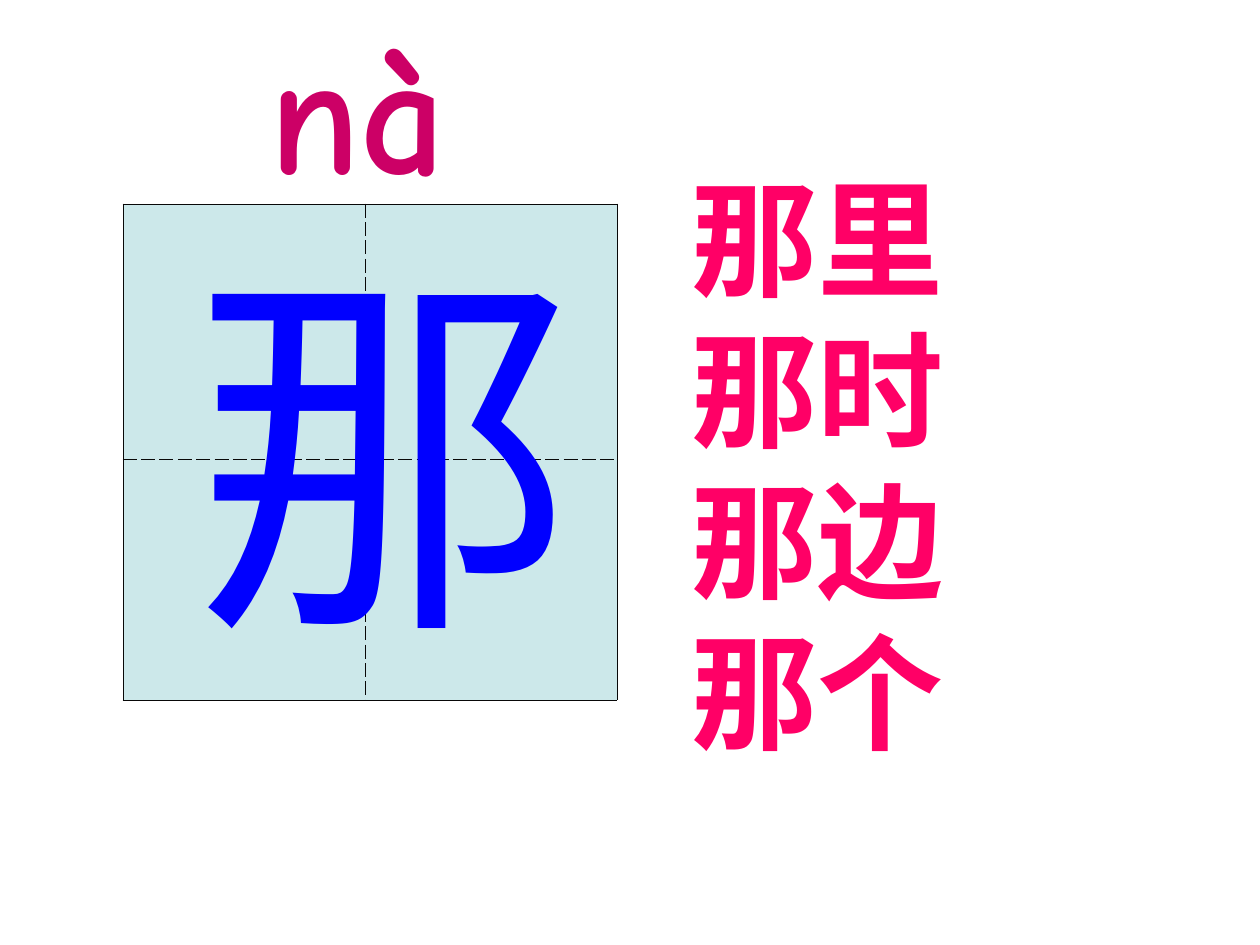
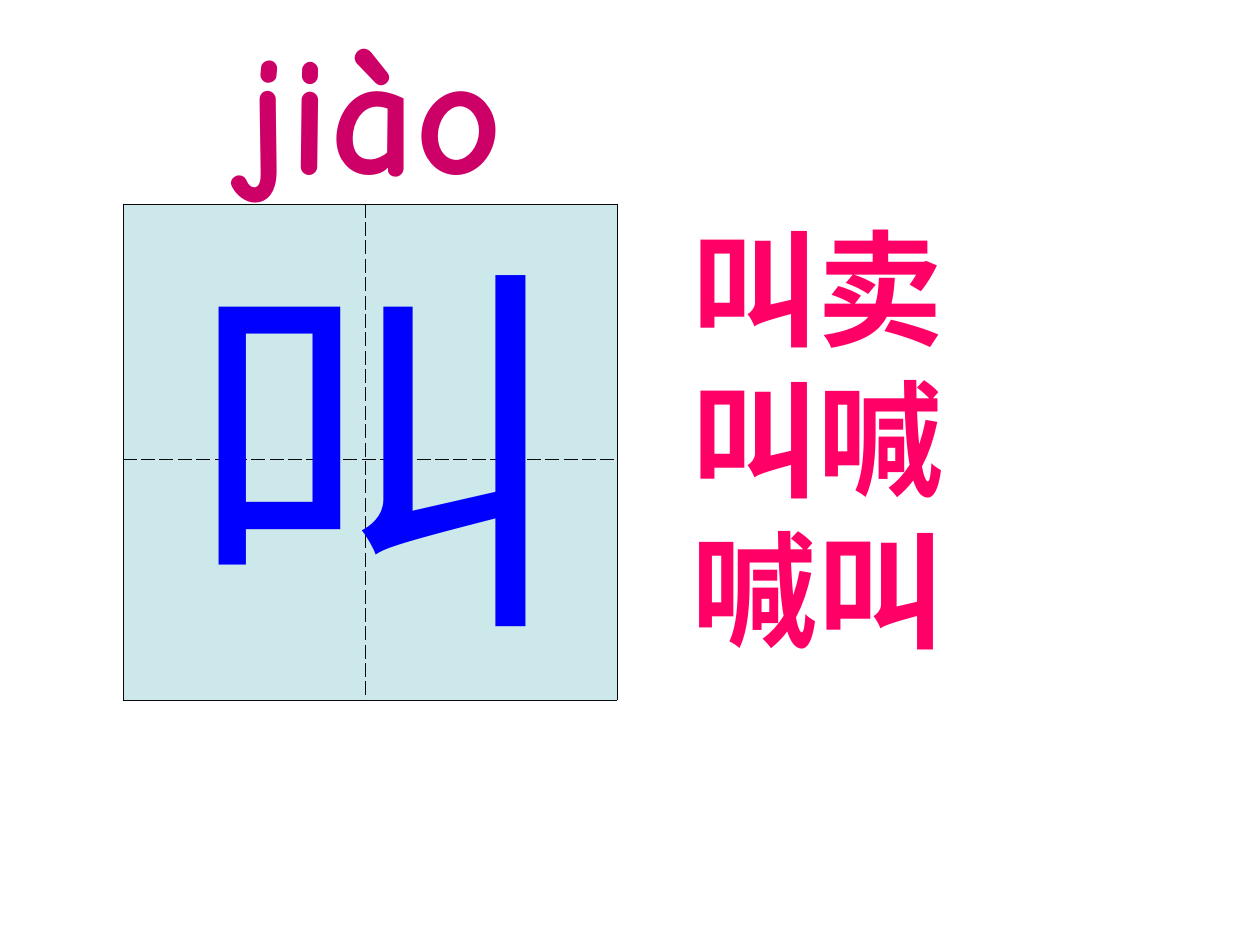
from lxml.etree import SubElement
from pptx import Presentation
from pptx.dml.color import RGBColor
from pptx.enum.text import MSO_AUTO_SIZE as AutoSize
from pptx.oxml.ns import qn
from pptx.util import Emu, Pt

PX = 914400 / 126  # EMU in one pixel

COLORS = {
    "grid_fill": "CCE8EA",
    "grid_line": "080808",
    "pinyin": "CC0066",
    "character": "0000FF",
    "words": "FF0066",
}

# Character grid, shared by both slides
GRID_LEFT, GRID_TOP = 123, 204
GRID_COLS = (242, 252)
GRID_ROWS = (255, 241)


def px(n):
    return Emu(round(n * PX))


def rgb(name):
    return RGBColor.from_string(COLORS[name])


def set_border(cell, side, dash, index):
    """Draw one thin cell border; borders must come before the fill."""
    tc_pr = cell._tc.get_or_add_tcPr()
    ln = SubElement(tc_pr, qn(f"a:ln{side}"), w=str(Pt(0.45)))
    fill = SubElement(ln, qn("a:solidFill"))
    SubElement(fill, qn("a:srgbClr"), val=COLORS["grid_line"])
    SubElement(ln, qn("a:prstDash"), val=dash)
    tc_pr.insert(index, ln)


def add_character_grid(s):
    """Two by two table: solid frame, dashed centre lines."""
    frame = s.shapes.add_table(2, 2, px(GRID_LEFT), px(GRID_TOP),
                               px(sum(GRID_COLS)), px(sum(GRID_ROWS)))
    table = frame.table
    table.first_row = table.horz_banding = False
    for i in range(2):
        table.columns[i].width = px(GRID_COLS[i])
        table.rows[i].height = px(GRID_ROWS[i])
    for row in range(2):
        for col in range(2):
            cell = table.cell(row, col)
            cell.fill.solid()
            cell.fill.fore_color.rgb = rgb("grid_fill")
            outer = ("R" if col else "L", "B" if row else "T")
            for index, side in enumerate("LRTB"):
                set_border(cell, side, "solid" if side in outer else "dash", index)


def add_text(s, lines, box, color, size, font="Arial", bold=False,
             wrap=True, leading=None):
    tf = s.shapes.add_textbox(*map(px, box)).text_frame
    tf.word_wrap = wrap
    tf.auto_size = AutoSize.SHAPE_TO_FIT_TEXT
    for i, line in enumerate(lines):
        p = tf.paragraphs[0] if i == 0 else tf.add_paragraph()
        p.add_run().text = line
        if leading:
            p.line_spacing = Pt(size * leading)
        p.font.size = Pt(size)
        p.font.bold = bold
        p.font.color.rgb = rgb(color)
        p.font.name = font
        # Same typeface for Chinese characters
        SubElement(p._p.pPr.find(qn("a:defRPr")), qn("a:ea"), typeface=font)


def add_character_slide(prs, pinyin, pinyin_left, character, character_at,
                        words, words_top):
    s = prs.slides.add_slide(prs.slide_layouts[6])
    add_character_grid(s)
    add_text(s, [pinyin], (pinyin_left, 0, 473, 214), "pinyin", 96,
             font="Comic Neue", bold=True)
    add_text(s, [character], (*character_at, 410, 475), "character", 220,
             wrap=False, leading=1.2)
    words_height = 13 + 151 * len(words)
    add_text(s, words, (679, words_top, 536, words_height), "words", 72,
             bold=True, leading=1.2)


def main():
    prs = Presentation()
    prs.slide_width, prs.slide_height = px(1260), px(945)

    # 那
    add_character_slide(prs, "nà", 257, "那", (180, 207),
                        ["那里", "那时", "那边", "那个"], 155)
    # 叫
    add_character_slide(prs, "jiào", 233, "叫", (170, 204),
                        ["叫卖", "叫喊", "喊叫"], 204)

    prs.save("out.pptx")


if __name__ == "__main__":
    main()
